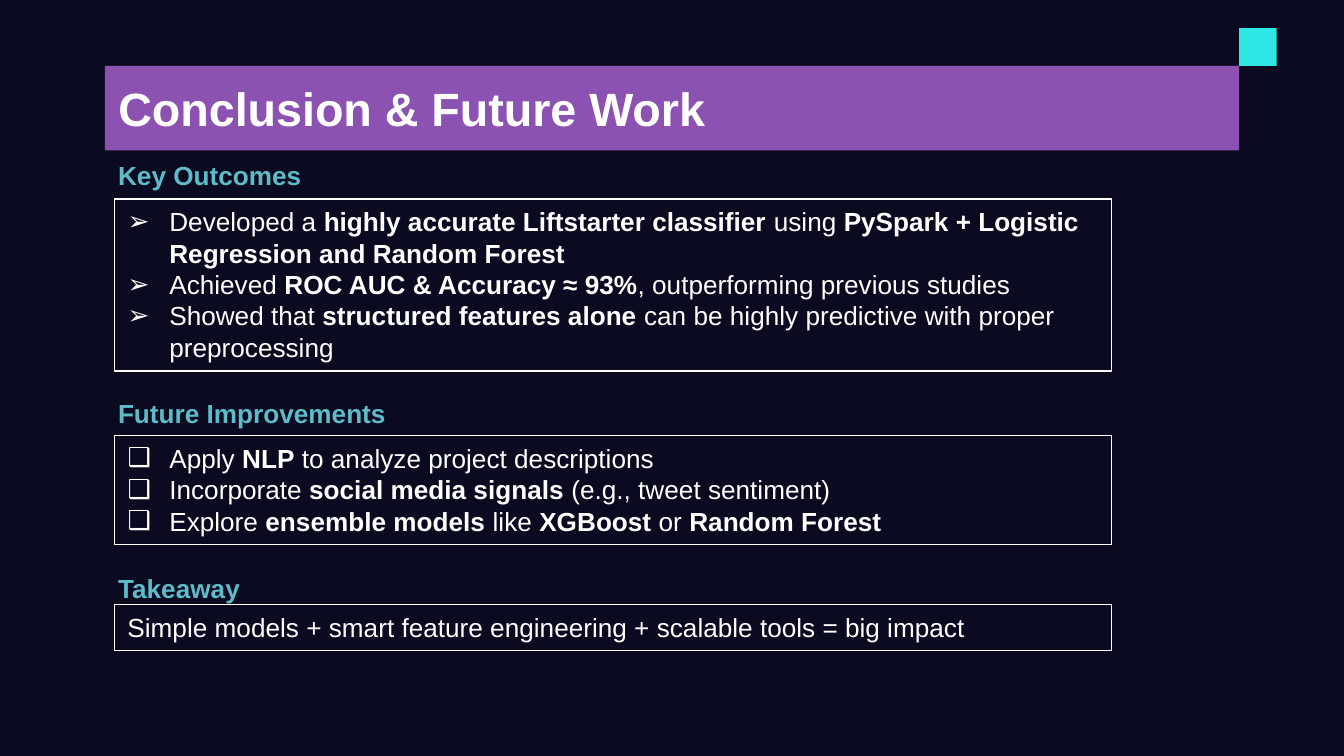
from lxml.etree import SubElement
from pptx import Presentation
from pptx.dml.color import RGBColor
from pptx.enum.shapes import MSO_SHAPE
from pptx.enum.text import MSO_ANCHOR, MSO_AUTO_SIZE, PP_ALIGN
from pptx.oxml.ns import qn
from pptx.util import Inches, Pt

NAVY = RGBColor(0x0A, 0x0B, 0x20)
PURPLE = RGBColor(0x8C, 0x52, 0xB2)
CYAN = RGBColor(0x2F, 0xE7, 0xE4)
TEAL = RGBColor(0x5F, 0xBB, 0xC7)
WHITE = RGBColor(0xFF, 0xFF, 0xFF)

FONT = "Arial"
LEFT = 0.78
BANNER = (LEFT, 0.49, 8.44, 0.63)
ACCENT_SIZE = 0.28
PANEL_LEFT, PANEL_WIDTH = 0.85, 7.42
HEADING_HEIGHT = 0.34
INDENT = 0.31

# Each text is a list of (words, bold) runs
OUTCOMES = [
    [("Developed a ", False), ("highly accurate Liftstarter classifier", True),
     (" using ", False), ("PySpark + Logistic Regression and Random Forest", True)],
    [("Achieved ", False), ("ROC AUC & Accuracy ≈ 93%", True),
     (", outperforming previous studies", False)],
    [("Showed that ", False), ("structured features alone", True),
     (" can be highly predictive with proper preprocessing", False)],
]
IMPROVEMENTS = [
    [("Apply ", False), ("NLP", True), (" to analyze project descriptions", False)],
    [("Incorporate ", False), ("social media signals", True),
     (" (e.g., tweet sentiment)", False)],
    [("Explore ", False), ("ensemble models", True), (" like ", False),
     ("XGBoost", True), (" or ", False), ("Random Forest", True)],
]
TAKEAWAY = [
    [("Simple models + smart feature engineering + scalable tools = big impact", False)],
]


def place(shape, left, top, width, height):
    shape.left, shape.top = Inches(left), Inches(top)
    shape.width, shape.height = Inches(width), Inches(height)


def add_runs(paragraph, runs, size=14, color=WHITE):
    paragraph.alignment = PP_ALIGN.LEFT
    paragraph.space_before = Pt(0)
    for words, bold in runs:
        run = paragraph.add_run()
        run.text = words
        run.font.name = FONT
        run.font.size = Pt(size)
        run.font.bold = bold
        run.font.color.rgb = color


def set_bullet(paragraph, symbol):
    properties = paragraph._p.get_or_add_pPr()
    properties.set("marL", str(Inches(INDENT)))
    properties.set("indent", str(-Inches(INDENT)))
    bullet_color = SubElement(properties, qn("a:buClr"))
    SubElement(bullet_color, qn("a:srgbClr"), val=str(WHITE))
    SubElement(properties, qn("a:buFont"), typeface=FONT)
    SubElement(properties, qn("a:buChar"), char=symbol)


def add_banner(slide, left, top, width, height):
    # Title on a purple band
    title = slide.shapes.title
    place(title, left, top, width, height)
    title.fill.solid()
    title.fill.fore_color.rgb = PURPLE
    frame = title.text_frame
    frame.auto_size = MSO_AUTO_SIZE.NONE
    frame.vertical_anchor = MSO_ANCHOR.MIDDLE
    frame.margin_left = frame.margin_right = Inches(0.1)
    frame.margin_top = frame.margin_bottom = Inches(0.1)
    add_runs(frame.paragraphs[0], [("Conclusion & Future Work", True)], 25)

    # Accent square touching the band's top right corner
    accent = slide.shapes.add_shape(
        MSO_SHAPE.RECTANGLE, Inches(left + width), Inches(top - ACCENT_SIZE),
        Inches(ACCENT_SIZE), Inches(ACCENT_SIZE))
    accent.shadow.inherit = False
    accent.fill.solid()
    accent.fill.fore_color.rgb = CYAN
    accent.line.fill.background()


def add_heading(slide, words, top, width):
    heading = slide.shapes.add_textbox(
        Inches(LEFT), Inches(top), Inches(width), Inches(HEADING_HEIGHT))
    heading.text_frame.word_wrap = True
    add_runs(heading.text_frame.paragraphs[0], [(words, True)], color=TEAL)


def fill_panel(panel, top, height, texts, symbol=None):
    place(panel, PANEL_LEFT, top, PANEL_WIDTH, height)
    panel.line.color.rgb = WHITE
    panel.line.width = Pt(0.75)
    frame = panel.text_frame
    frame.word_wrap = True
    frame.auto_size = MSO_AUTO_SIZE.NONE
    frame.vertical_anchor = MSO_ANCHOR.TOP
    for number, runs in enumerate(texts):
        paragraph = frame.add_paragraph() if number else frame.paragraphs[0]
        add_runs(paragraph, runs)
        if symbol:
            set_bullet(paragraph, symbol)


def main():
    deck = Presentation()
    # Widescreen, 16:9
    deck.slide_width = Inches(10)
    deck.slide_height = Inches(10 * 9 / 16)
    slide = deck.slides.add_slide(deck.slide_layouts.get_by_name("Two Content"))
    slide.background.fill.solid()
    slide.background.fill.fore_color.rgb = NAVY

    add_banner(slide, *BANNER)

    # Bordered panels: two lists and the closing line
    outcomes, improvements = slide.placeholders[1], slide.placeholders[2]
    takeaway = slide.shapes.add_textbox(0, 0, 0, 0)
    fill_panel(outcomes, 1.48, 1.28, OUTCOMES, "➢")
    fill_panel(improvements, 3.24, 0.81, IMPROVEMENTS, "❑")
    fill_panel(takeaway, 4.5, 0.34, TAKEAWAY)

    # Section headings
    add_heading(slide, "Key Outcomes", 1.14, 1.65)
    add_heading(slide, "Future Improvements", 2.91, 2.62)
    add_heading(slide, "Takeaway", 4.21, 1.65)

    deck.save("out.pptx")


if __name__ == "__main__":
    main()
